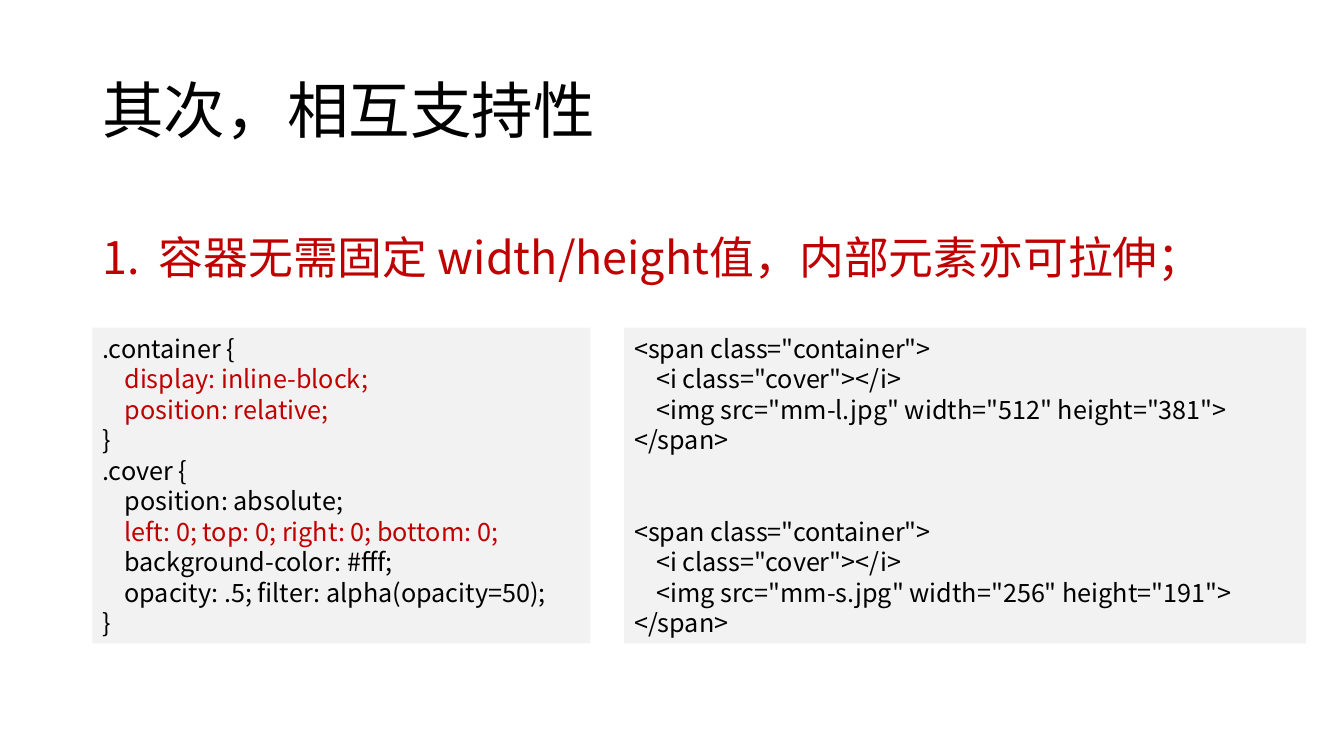
from lxml.etree import SubElement
from pptx import Presentation
from pptx.dml.color import RGBColor
from pptx.enum.shapes import MSO_SHAPE
from pptx.enum.text import MSO_ANCHOR, PP_ALIGN
from pptx.oxml.ns import qn
from pptx.util import Inches, Pt

FONT = "Noto Sans CJK SC"
BLACK, RED, PANEL = "000000", "C00000", "F2F2F2"
CELL = Inches(1 / 12)  # the slide is a grid of 160 columns by 90 rows
MARGIN = 11
INDENT = Inches(0.22)
CODE_LINE = 21.8

# Each line of code: indent level, text, colour, blank lines before it
CSS_LINES = [
    (0, ".container {", BLACK, 0),
    (1, "display: inline-block;", RED, 0),
    (1, "position: relative;", RED, 0),
    (0, "}", BLACK, 0),
    (0, ".cover {", BLACK, 0),
    (1, "position: absolute;", BLACK, 0),
    (1, "left: 0; top: 0; right: 0; bottom: 0;", RED, 0),
    (1, "background-color: #fff;", BLACK, 0),
    (1, "opacity: .5; filter: alpha(opacity=50);", BLACK, 0),
    (0, "}", BLACK, 0),
]


def span_lines(image, width, height, gap):
    """Return the markup lines of one container with its image."""
    return [
        (0, '<span class="container">', BLACK, gap),
        (1, '<i class="cover"></i>', BLACK, 0),
        (1, f'<img src="{image}" width="{width}" height="{height}">', BLACK, 0),
        (0, "</span>", BLACK, 0),
    ]


def rgb(code):
    """Turn a hex string into a colour."""
    return RGBColor.from_string(code)


def grid(box):
    """Turn a box in columns and rows into slide lengths."""
    return [round(CELL * share) for share in box]


def write(paragraph, text, size, colour, **layout):
    """Add one run to a paragraph and set its font and paragraph format."""
    run = paragraph.add_run()
    run.text = text
    for name, value in {"name": FONT, "size": Pt(size)}.items():
        setattr(run.font, name, value)
    run.font.color.rgb = rgb(colour)
    SubElement(run.font._element, qn("a:ea")).set("typeface", FONT)
    for name, value in {"alignment": PP_ALIGN.LEFT, **layout}.items():
        setattr(paragraph, name, value)


def add_line(slide, box, anchor, text, size, colour, spacing):
    """Place a single line of text in the box and return its paragraph."""
    frame = slide.shapes.add_textbox(*grid(box)).text_frame
    frame.word_wrap = True
    frame.vertical_anchor = anchor
    write(frame.paragraphs[0], text, size, colour, line_spacing=spacing)
    return frame.paragraphs[0]


def add_title(slide, box):
    """Place the slide title."""
    add_line(slide, box, MSO_ANCHOR.MIDDLE, "其次，相互支持性", 44, BLACK, 0.9)


def add_point(slide, box):
    """Place the numbered statement above the code."""
    point = add_line(slide, box, MSO_ANCHOR.TOP,
                     "容器无需固定 width/height值，内部元素亦可拉伸；", 32, RED, Pt(42))
    properties = point._p.get_or_add_pPr()
    hang = Inches(0.56)
    properties.set("marL", str(hang))
    properties.set("indent", str(-hang))
    SubElement(properties, qn("a:buFont")).set("typeface", FONT)
    SubElement(properties, qn("a:buAutoNum")).set("type", "arabicPeriod")


def add_code(slide, box, lines):
    """Place a grey panel with lines of code."""
    panel = slide.shapes.add_shape(MSO_SHAPE.RECTANGLE, *grid(box))
    panel.shadow.inherit = False
    panel.fill.solid()
    panel.fill.fore_color.rgb = rgb(PANEL)
    panel.line.fill.background()
    frame = panel.text_frame
    frame.word_wrap = True
    frame.vertical_anchor = MSO_ANCHOR.TOP
    for number, (level, text, colour, gap) in enumerate(lines):
        paragraph = frame.add_paragraph() if number else frame.paragraphs[0]
        write(paragraph, text, 18, colour, line_spacing=Pt(CODE_LINE),
              space_before=Pt(CODE_LINE * gap))
        paragraph._p.get_or_add_pPr().set("marL", str(level * INDENT))


def build():
    """Build the slide and save it."""
    deck = Presentation()
    deck.slide_width, deck.slide_height = grid((160, 90))
    slide = deck.slides.add_slide(deck.slide_layouts[6])
    add_title(slide, (MARGIN, 4.8, 138, 17.4))
    add_point(slide, (MARGIN, 26.2, 135, 7.7))
    markup = span_lines("mm-l.jpg", 512, 381, 0) + span_lines("mm-s.jpg", 256, 191, 2)
    left = MARGIN
    for width, lines in ((59.3, CSS_LINES), (81.2, markup)):
        add_code(slide, (left, 39, width, 37.6), lines)
        left += width + 4
    deck.save("out.pptx")


build()
